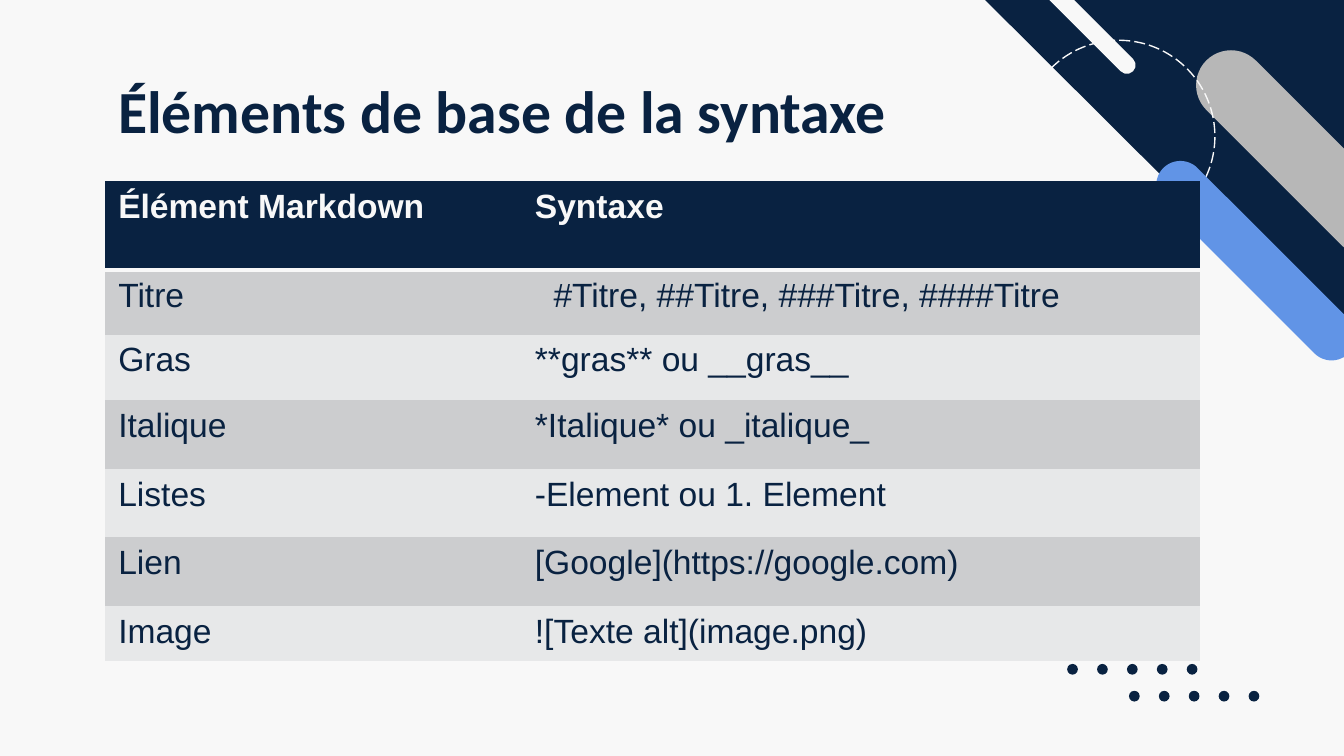
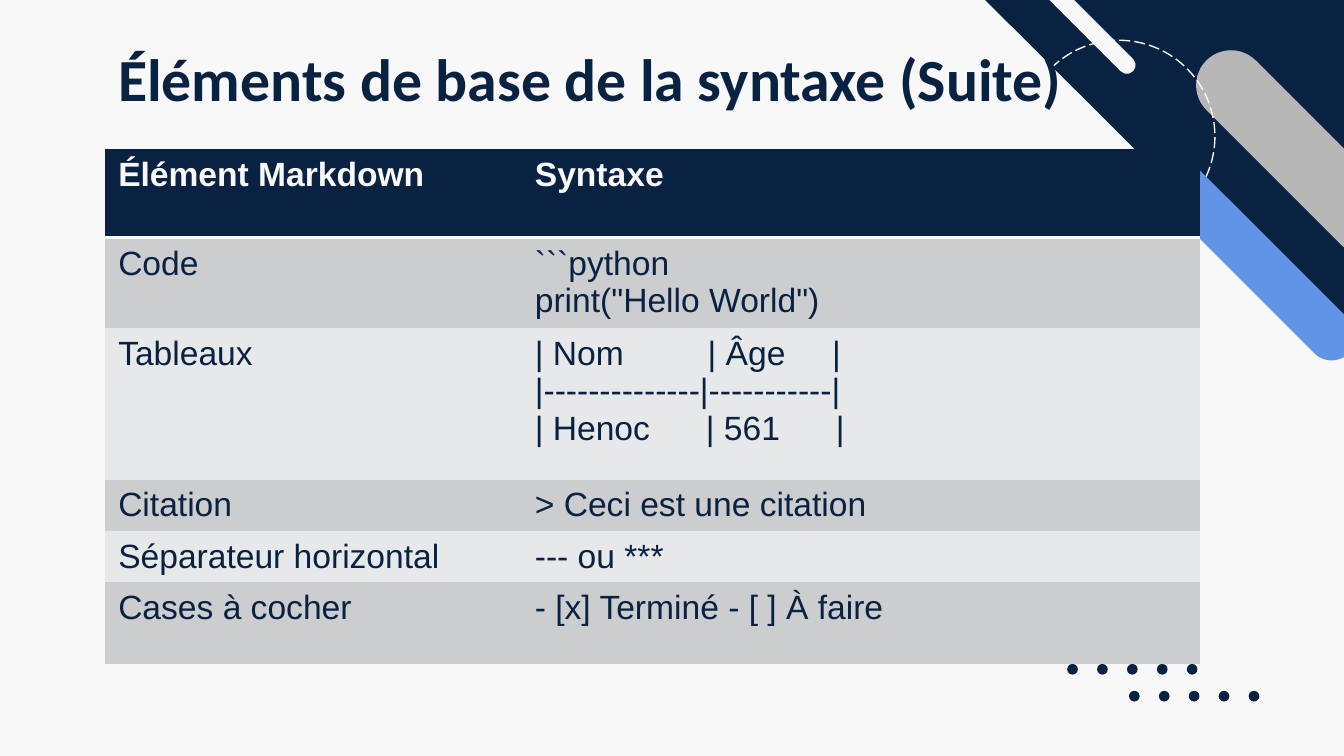
from typing import NamedTuple

from lxml import etree
from pptx import Presentation
from pptx.dml.color import RGBColor
from pptx.enum.dml import MSO_LINE
from pptx.enum.shapes import MSO_SHAPE
from pptx.enum.text import MSO_ANCHOR
from pptx.oxml.ns import qn
from pptx.slide import Slide
from pptx.table import _Cell
from pptx.util import Inches, Pt

NAVY = RGBColor(0x09, 0x22, 0x41)
PAPER = RGBColor(0xF8, 0xF8, 0xF8)
GREY = RGBColor(0xB7, 0xB7, 0xB7)
BLUE = RGBColor(0x61, 0x94, 0xE6)
BANDS = (RGBColor(0xCC, 0xCD, 0xCF), RGBColor(0xE7, 0xE8, 0xE9))

OVAL = MSO_SHAPE.OVAL
PILL = MSO_SHAPE.ROUNDED_RECTANGLE
WEDGE = MSO_SHAPE.RIGHT_TRIANGLE
DASH = MSO_LINE.LONG_DASH
TOP = MSO_ANCHOR.TOP

HEAD_FONT = "Calibri"
BODY_FONT = "Arial"
PLAIN_STYLE = "{2D5ABB26-0587-4C30-8999-92F81FD0307C}"
LEFT = 0.78
COLS = (3.1, 5.05)
TITLE_W, TITLE_H = 7.65, 0.9


class Form(NamedTuple):
    kind: int
    left: float
    top: float
    width: float
    height: float
    turn: float = 0
    fill: RGBColor | None = None


class Row(NamedTuple):
    height: float
    name: str
    code: str


class Page(NamedTuple):
    title: str
    top: float
    rows: tuple[Row, ...]


DOT, SPAN, COUNT = 0.08, 0.89, 5
DOTS = tuple(
    Form(OVAL, left + i * SPAN / (COUNT - 1), top, DOT, DOT, 0, NAVY)
    for left, top in ((8.4, 5.14), (7.94, 4.94))
    for i in range(COUNT)
)
CORNER = (
    Form(WEDGE, 7.31, -0.02, 2.69, 2.68, 180, NAVY),
    Form(PILL, 8.69, 0.88, 1.95, 0.52, 45, GREY),
    Form(PILL, 7.5, 0.08, 1.09, 0.13, 45, PAPER),
    Form(OVAL, 7.61, 0.3, 1.43, 1.43),
    Form(PILL, 8.37, 1.76, 1.95, 0.36, 45, BLUE),
)

HEADER = Row(0.66, "Élément Markdown", "Syntaxe")
PAGES = (
    Page("Éléments de base de la syntaxe", 0.45, (
        HEADER,
        Row(0.48, "Titre", "  #Titre, ##Titre, ###Titre, ####Titre"),
        Row(0.49, "Gras", "**gras** ou __gras__"),
        Row(0.51, "Italique", "*Italique* ou _italique_"),
        Row(0.51, "Listes", "-Element ou 1. Element"),
        Row(0.51, "Lien", "[Google](https://google.com)"),
        Row(0.41, "Image", "![Texte alt](image.png)"),
    )),
    Page("Éléments de base de la syntaxe (Suite)", 0.21, (
        HEADER,
        Row(0.65, "Code", '```python\nprint("Hello World")'),
        Row(1.13, "Tableaux",
            "| Nom         | Âge     |\n"
            "|--------------|-----------|\n"
            "| Henoc      | 561      |"),
        Row(0.38, "Citation", "> Ceci est une citation"),
        Row(0.38, "Séparateur horizontal", "--- ou ***"),
        Row(0.61, "Cases à cocher", "- [x] Terminé - [ ] À faire"),
    )),
)


def draw_form(slide: Slide, form: Form) -> None:
    shape = slide.shapes.add_shape(
        form.kind, Inches(form.left), Inches(form.top),
        Inches(form.width), Inches(form.height))
    shape.shadow.inherit = False
    shape.rotation = form.turn
    if form.kind == PILL:
        shape.adjustments[0] = 0.5
    if form.fill is None:
        shape.fill.background()
        shape.line.color.rgb = PAPER
        shape.line.width = Pt(0.75)
        shape.line.dash_style = DASH
    else:
        shape.fill.solid()
        shape.fill.fore_color.rgb = form.fill
        shape.line.fill.background()


def draw_title(slide: Slide, text: str, top: float) -> None:
    box = slide.shapes.add_textbox(
        Inches(LEFT), Inches(top), Inches(TITLE_W), Inches(TITLE_H))
    frame = box.text_frame
    frame.word_wrap = True
    frame.vertical_anchor = TOP
    frame.margin_left = frame.margin_right = Inches(0.1)
    frame.margin_top = frame.margin_bottom = Inches(0.1)
    frame.text = text
    font = frame.paragraphs[0].runs[0].font
    font.name, font.size, font.bold = HEAD_FONT, Pt(32), True
    font.color.rgb = NAVY


def rule_cell(cell: _Cell) -> None:
    line = etree.Element(qn("a:lnB"), w=str(Pt(2)))
    fill = etree.SubElement(line, qn("a:solidFill"))
    etree.SubElement(fill, qn("a:srgbClr"), val=str(PAPER))
    cell._tc.get_or_add_tcPr().insert(0, line)


def fill_cell(cell: _Cell, text: str, fill: RGBColor, head: bool) -> None:
    cell.fill.solid()
    cell.fill.fore_color.rgb = fill
    cell.margin_bottom = Inches(0.02)
    cell.text_frame.text = text
    for para in cell.text_frame.paragraphs:
        for run in para.runs:
            font = run.font
            font.name, font.size, font.bold = BODY_FONT, Pt(18), head
            font.color.rgb = PAPER if head else NAVY
    if head:
        rule_cell(cell)


def draw_table(slide: Slide, rows: tuple[Row, ...], top: float) -> None:
    frame = slide.shapes.add_table(
        len(rows), len(COLS), Inches(LEFT), Inches(top),
        Inches(sum(COLS)), Inches(sum(row.height for row in rows)))
    table = frame.table
    table.horz_banding = False
    table._tbl.tblPr.find(qn("a:tableStyleId")).text = PLAIN_STYLE
    for col, width in zip(table.columns, COLS):
        col.width = Inches(width)
    for i, row in enumerate(rows):
        table.rows[i].height = Inches(row.height)
        head = i == 0
        fill = NAVY if head else BANDS[(i - 1) % 2]
        for j, text in enumerate((row.name, row.code)):
            fill_cell(table.cell(i, j), text, fill, head)


def main() -> None:
    deck = Presentation()
    deck.slide_width = Inches(10)
    deck.slide_height = deck.slide_width * 9 // 16
    back = deck.slide_master.background.fill
    back.solid()
    back.fore_color.rgb = PAPER
    for page in PAGES:
        slide = deck.slides.add_slide(deck.slide_layouts[6])
        for form in DOTS + CORNER:
            draw_form(slide, form)
        draw_title(slide, page.title, page.top)
        draw_table(slide, page.rows, page.top + TITLE_H)
    deck.save("out.pptx")


if __name__ == "__main__":
    main()
